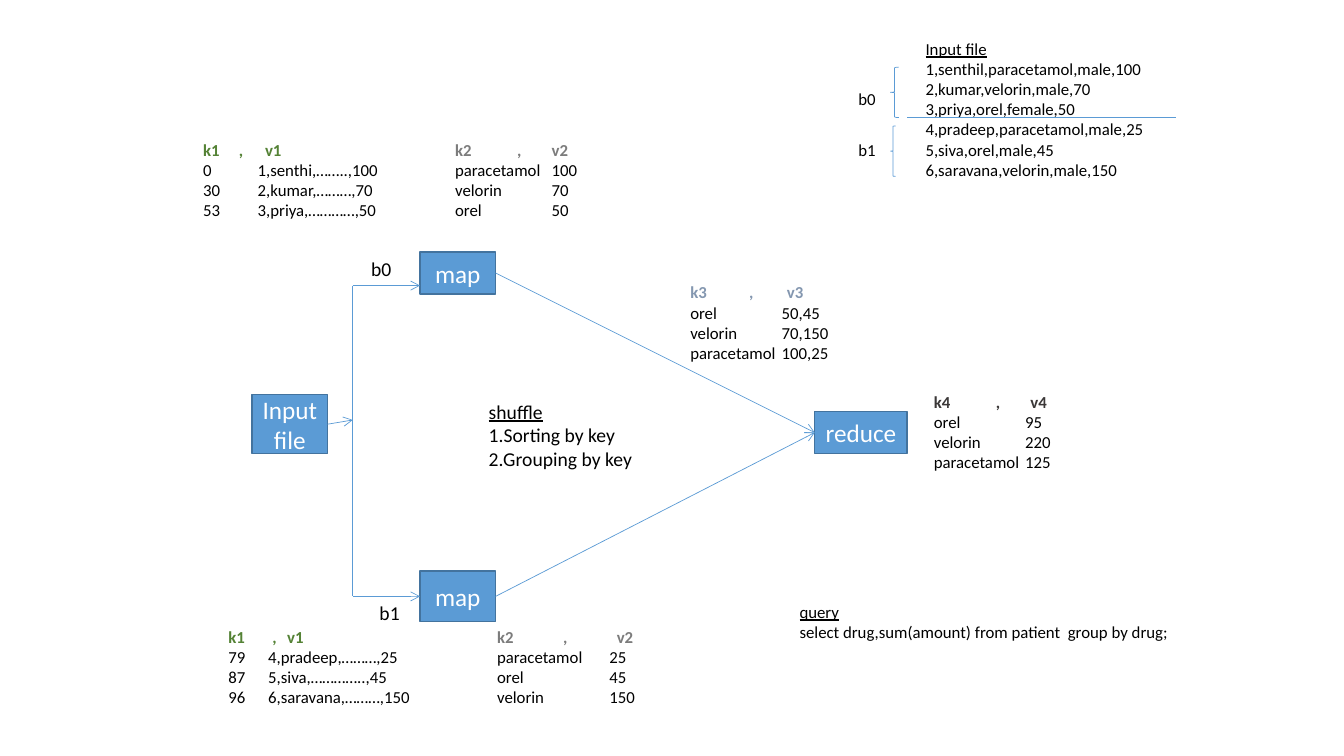
from lxml import etree
from pptx import Presentation
from pptx.dml.color import RGBColor
from pptx.enum.shapes import MSO_CONNECTOR, MSO_SHAPE
from pptx.enum.text import MSO_ANCHOR, MSO_AUTO_SIZE, PP_ALIGN
from pptx.oxml.ns import qn
from pptx.util import Emu, Pt

PX = 9525
RECT, BRACE = MSO_SHAPE.RECTANGLE, MSO_SHAPE.LEFT_BRACE
STRAIGHT = MSO_CONNECTOR.STRAIGHT
MIDDLE, CENTER = MSO_ANCHOR.MIDDLE, PP_ALIGN.CENTER
GROW = MSO_AUTO_SIZE.SHAPE_TO_FIT_TEXT
LEFT, RIGHT = 1, 3
BLUE, EDGE, WHITE, BLACK = "5B9BD5", "43739E", "FFFFFF", "000000"
GREEN, GRAY, SLATE, DARK = "548235", "7C7C7C", "8497B0", "3B3838"


def px(*nums):
    return [Emu(num * PX) for num in nums]


def color(code):
    return RGBColor.from_string(code)


class Board:
    face = "Calibri"

    def __init__(self, slide):
        self.shapes = slide.shapes

    def style(self, para, size, code=BLACK, bold=False, under=False):
        font = para.font
        font.name, font.size = self.face, Pt(size)
        font.bold, font.underline = bold, under
        font.color.rgb = color(code)

    def stroke(self, item, code=BLUE, width=0.5):
        item.line.color.rgb = color(code)
        item.line.width = Pt(width)

    def box(self, label, *place):
        shape = self.shapes.add_shape(RECT, *px(*place))
        shape.shadow.inherit = False
        shape.fill.solid()
        shape.fill.fore_color.rgb = color(BLUE)
        self.stroke(shape, EDGE, 1)
        frame = shape.text_frame
        frame.word_wrap, frame.vertical_anchor = True, MIDDLE
        frame.text = label
        for para in frame.paragraphs:
            para.alignment = CENTER
            self.style(para, 18, WHITE)
        return shape

    def brace(self, *place):
        shape = self.shapes.add_shape(BRACE, *px(*place))
        shape.shadow.inherit = False
        shape.fill.background()
        self.stroke(shape)

    def line(self, *ends, arrow=False, start=None, stop=None):
        wire = self.shapes.add_connector(STRAIGHT, *px(*ends))
        if start:
            wire.begin_connect(start, RIGHT)
        if stop:
            wire.end_connect(stop, LEFT)
        self.stroke(wire)
        if arrow:
            etree.SubElement(wire.line._ln, qn("a:tailEnd"), type="arrow")
        etree.SubElement(wire._element.spPr, qn("a:effectLst"))

    def text(self, lines, place, size=12, wrap=True, head=False):
        area = self.shapes.add_textbox(*px(*place))
        frame = area.text_frame
        frame.word_wrap, frame.auto_size = wrap, GROW
        frame.text = "\n".join(lines)
        for row, para in enumerate(frame.paragraphs):
            self.style(para, size, under=head and row == 0)
        return frame

    def pairs(self, num, code, rows, place, comma, head, col):
        lines = [f"k{num}\t,\tv{num}"]
        lines += [val if isinstance(key, int) else f"{key}\t{val}" for key, val in rows]
        paras = self.text(lines, place).paragraphs
        self.style(paras[0], 12, code, bold=True)
        self.tabs(paras[0], comma, head)
        for (key, _), para in zip(rows, paras[1:]):
            if isinstance(key, int):
                self.number(para, key, col)
            else:
                self.tabs(para, col)

    def tabs(self, para, *stops):
        props = para._p.get_or_add_pPr()
        group = etree.Element(qn("a:tabLst"))
        for stop in stops:
            etree.SubElement(group, qn("a:tab"), pos=str(stop * PX), algn="l")
        props.insert(0, group)

    def number(self, para, first, col):
        props = para._p.get_or_add_pPr()
        props.set("marL", str(col * PX))
        props.set("indent", str(-col * PX))
        mark = etree.Element(qn("a:buAutoNum"), type="arabicPlain", startAt=str(first))
        props.insert(0, mark)


def main():
    deck = Presentation()
    deck.slide_width, deck.slide_height = px(1280, 720)
    board = Board(deck.slides.add_slide(deck.slide_layouts[6]))

    source = board.box("Input \nfile", 240, 376, 72, 56)
    upper = board.box("map", 400, 240, 72, 40)
    lower = board.box("map", 400, 544, 72, 48)
    reduce = board.box("reduce", 776, 392, 88, 40)

    board.line(312, 404, 336, 400, arrow=True, start=source)
    board.line(336, 272, 336, 568)
    board.line(336, 272, 400, 272, arrow=True)
    board.line(336, 568, 400, 568, arrow=True, stop=lower)
    board.line(472, 260, 776, 412, arrow=True, start=upper, stop=reduce)
    board.line(472, 568, 776, 412, arrow=True, start=lower, stop=reduce)

    board.text(["shuffle", "1.Sorting by key", "2.Grouping by key"],
               (456, 376, 168, 78), size=14, head=True)
    board.text(["Input file", "1,senthil,paracetamol,male,100",
                "2,kumar,velorin,male,70", "3,priya,orel,female,50",
                "4,pradeep,paracetamol,male,25", "5,siva,orel,male,45",
                "6,saravana,velorin,male,150"],
               (872, 32, 352, 145), head=True)
    board.text(["query", "select drug,sum(amount) from patient  group by drug;"],
               (752, 568, 504, 48), head=True)

    board.line(864, 112, 1120, 112)
    board.brace(848, 64, 8, 48)
    board.brace(848, 120, 5, 48)
    for label, left, top, size in (("b0", 808, 80, 12), ("b1", 808, 128, 12),
                                   ("b0", 344, 240, 14), ("b1", 352, 568, 14)):
        board.text([label], (left, top, 3 * size + 2, 2 * size + 5), size, wrap=False)

    board.pairs(1, GREEN, [("0", "1,senthi,……..,100"), (30, "2,kumar,………,70"),
                           ("53", "3,priya,…………,50")],
                (184, 128, 344, 87), 34, 59, 52)
    board.pairs(2, GRAY, [("paracetamol", "100"), ("velorin", "70"), ("orel", "50")],
                (424, 128, 272, 126), 59, 92, 92)
    board.pairs(3, SLATE, [("orel", "50,45"), ("velorin", "70,150"),
                           ("paracetamol", "100,25")],
                (648, 264, 184, 87), 56, 92, 87)
    board.pairs(1, GREEN, [(79, "4,pradeep,………,25"), (87, "5,siva,…………..,45"),
                           ("96", "6,saravana,………,150")],
                (208, 592, 208, 87), 42, 56, 38)
    board.pairs(2, GRAY, [("paracetamol", "25"), ("orel", "45"), ("velorin", "150")],
                (464, 592, 184, 107), 63, 114, 107)
    board.pairs(4, DARK, [("orel", "95"), ("velorin", "220"), ("paracetamol", "125")],
                (880, 368, 184, 87), 59, 92, 87)

    deck.save("out.pptx")


if __name__ == "__main__":
    main()
